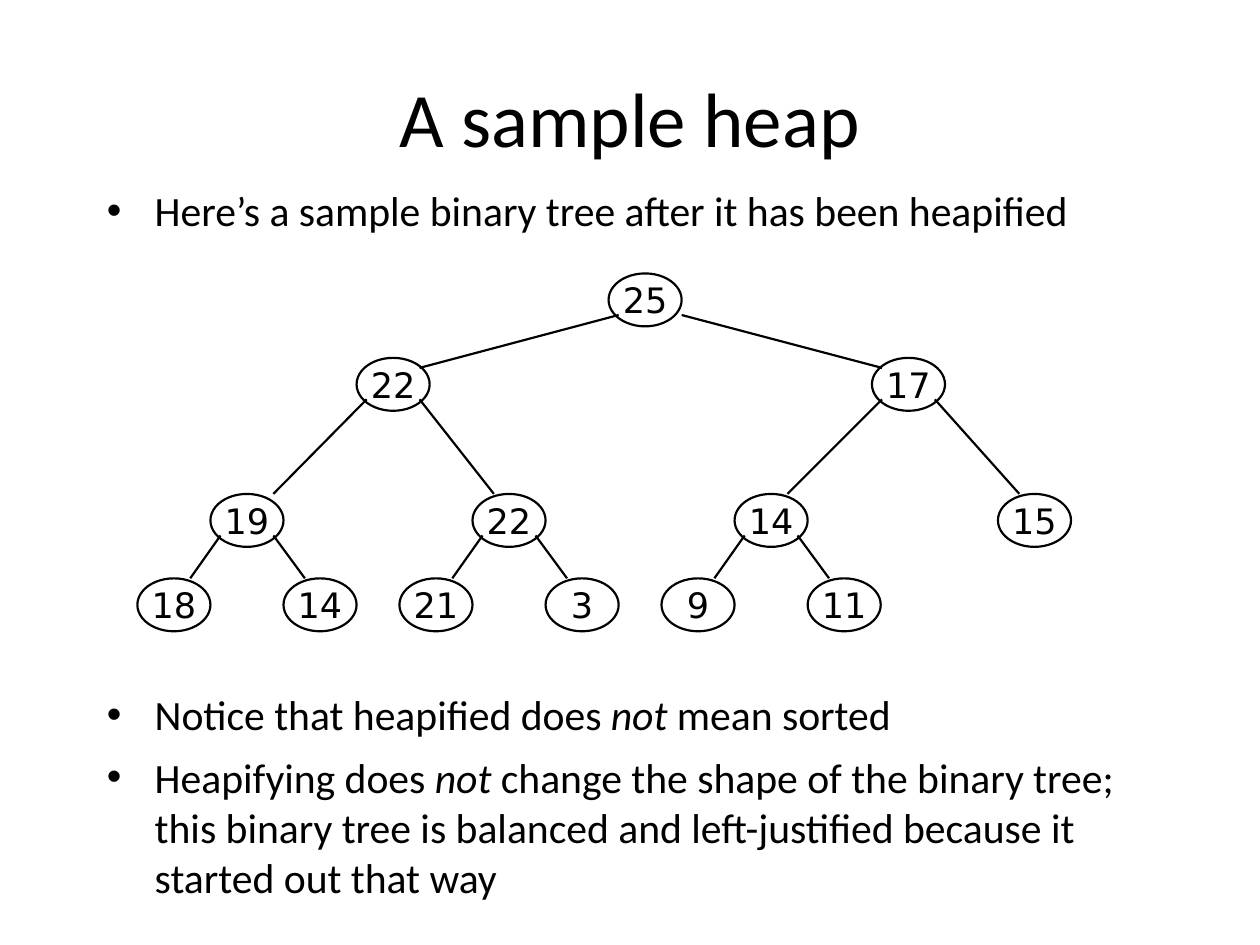
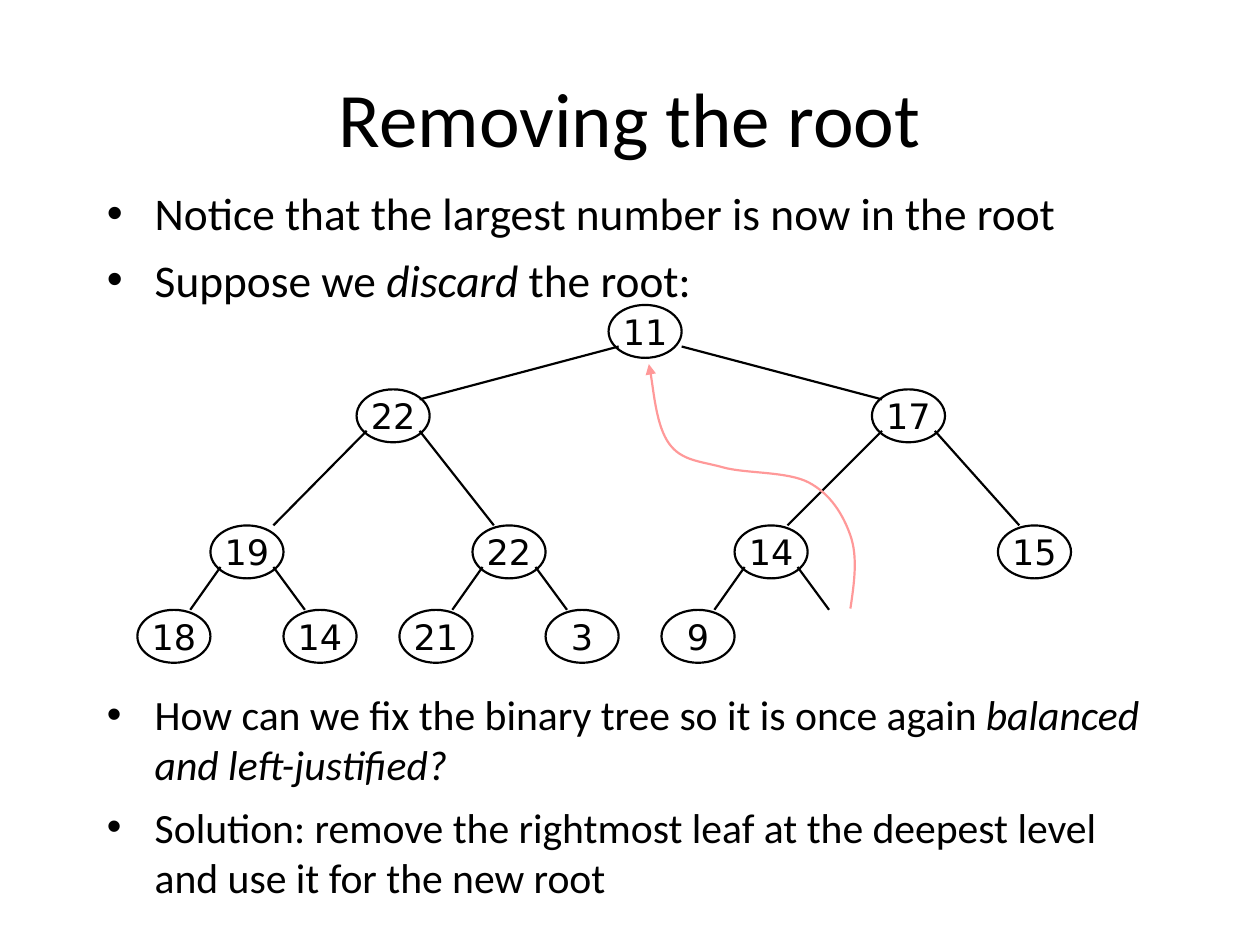
from dataclasses import dataclass
from lxml import etree
from pptx import Presentation
from pptx.dml.color import RGBColor
from pptx.enum.shapes import MSO_CONNECTOR, MSO_SHAPE
from pptx.enum.text import MSO_ANCHOR, PP_ALIGN
from pptx.oxml.ns import qn
from pptx.util import Inches, Pt

STRAIGHT, OVAL = MSO_CONNECTOR.STRAIGHT, MSO_SHAPE.OVAL
MIDDLE, CENTER = MSO_ANCHOR.MIDDLE, PP_ALIGN.CENTER


@dataclass(frozen=True)
class Theme:
    ink: RGBColor = RGBColor(0, 0, 0)
    accent: RGBColor = RGBColor(0xFF, 0x99, 0x99)
    font: str = "Calibri"
    node_font: str = "DejaVu Sans"
    title_size: float = 44
    body_size: float = 23.8
    lead_size: float = 25.9
    node_size: float = 20
    line: float = 1.25


T = Theme()

# Content: *asterisks* mark italics; heap values are in level order
SLIDES = [
    dict(title="A sample heap",
         top=["Here’s a sample binary tree after it has been heapified"],
         top_size=T.body_size, top_height=0.83, tree_top=2.17,
         heap=[25, 22, 17, 19, 22, 14, 15, 18, 14, 21, 3, 9, 11],
         bottom=["Notice that heapified does *not* mean sorted",
                 "Heapifying does *not* change the shape of the binary tree; "
                 "this binary tree is balanced and left-justified because it "
                 "started out that way"]),
    dict(title="Removing the root",
         top=["Notice that the largest number is now in the root",
              "Suppose we *discard* the root:"],
         top_size=T.lead_size, top_height=1.08, tree_top=2.42,
         heap=[11, 22, 17, 19, 22, 14, 15, 18, 14, 21, 3, 9, None],
         bottom=["How can we fix the binary tree so it is once again "
                 "*balanced and left-justified?*",
                 "Solution: remove the rightmost leaf at the deepest level "
                 "and use it for the new root"],
         # Start point, then three points for each Bézier segment
         move=[(6.75, 4.83),
               (6.78, 4.63), (6.81, 4.42), (6.75, 4.25),
               (6.69, 4.08), (6.59, 3.92), (6.42, 3.83),
               (6.25, 3.74), (5.92, 3.76), (5.74, 3.71),
               (5.56, 3.66), (5.41, 3.66), (5.31, 3.52),
               (5.21, 3.38), (5.18, 3.02), (5.15, 2.89)]),
]

# Tree geometry
NODE_W, NODE_H = 0.58, 0.42
LEVEL_Y = [0, 0.67, 1.75, 2.42]
INNER_X = [4.83, 2.83, 6.92, 1.67, 3.75, 5.83, 7.92]
LEAF_X = [x + side * NODE_W for x in INNER_X[3:6] for side in (-1, 1)]
NODE_X = INNER_X + LEAF_X
# Where the edge from the parent meets each node, from the node's left
ENTRY_X = [None, 0.5, 0.08, 0.5, 0.17, 0.42, 0.17] + [0.42, 0.17] * 3
EXIT_Y = 0.33


def sub(parent, tag, **attrs):
    return etree.SubElement(parent, qn(tag), attrs)


def set_font(p, name, size):
    p.font.name, p.font.size, p.font.color.rgb = name, Pt(size), T.ink


def add_text_box(s, x, y, w, h):
    tf = s.shapes.add_textbox(*map(Inches, (x, y, w, h))).text_frame
    tf.word_wrap = True
    return tf


def add_title(s, text):
    tf = add_text_box(s, 0.5, 0.3, 9, 1.25)
    tf.vertical_anchor = MIDDLE
    p = tf.paragraphs[0]
    p.text, p.alignment = text, CENTER
    set_font(p, T.font, T.title_size)


def add_bullets(s, items, y, h, size):
    tf = add_text_box(s, 0.75, y, 8.5, h)
    for i, item in enumerate(items):
        p = tf.add_paragraph() if i else tf.paragraphs[0]
        pPr = p._p.get_or_add_pPr()
        pPr.set("marL", str(Inches(0.38)))
        pPr.set("indent", str(Inches(-0.38)))
        sub(pPr, "a:buFont", typeface="Arial")
        sub(pPr, "a:buChar", char="•")
        if i:
            p.space_before = Pt(7)
        set_font(p, T.font, size)
        for j, part in enumerate(item.split("*")):
            if part:
                r = p.add_run()
                r.text = part
                if j % 2:
                    r.font.italic = True


def add_node(s, value, x, y):
    sp = s.shapes.add_shape(OVAL, *map(Inches, (x, y, NODE_W, NODE_H)))
    sp.shadow.inherit = False
    sp.fill.background()
    sp.line.color.rgb, sp.line.width = T.ink, Pt(T.line)
    tf = sp.text_frame
    tf.word_wrap, tf.vertical_anchor = False, MIDDLE
    p = tf.paragraphs[0]
    p.text, p.alignment = str(value), CENTER
    set_font(p, T.node_font, T.node_size)


def add_edge(s, *ends):
    c = s.shapes.add_connector(STRAIGHT, *map(Inches, ends))
    c.line.color.rgb, c.line.width = T.ink, Pt(T.line)
    sub(c._element.spPr, "a:effectLst")


def add_tree(s, heap, top):
    for i, value in enumerate(heap):
        level = (i + 1).bit_length() - 1
        x, y = NODE_X[i], top + LEVEL_Y[level]
        if value is not None:
            add_node(s, value, x, y)
        if i:
            parent = (i - 1) // 2
            exit_x = 0.08 if i % 2 else NODE_W if parent == 0 else 0.5
            entry_y = 0.08 if level == 1 else 0
            add_edge(s, NODE_X[parent] + exit_x,
                     top + LEVEL_Y[level - 1] + EXIT_Y,
                     x + ENTRY_X[i], y + entry_y)


def add_curved_arrow(s, points):
    pts = [(Inches(x), Inches(y)) for x, y in points]
    fb = s.shapes.build_freeform(*pts[0])
    fb.add_line_segments(pts[1:], close=False)
    sp = fb.convert_to_shape()
    sp.shadow.inherit = False
    sp.fill.background()
    sp.line.color.rgb, sp.line.width = T.accent, Pt(T.line)
    sub(sp.line._get_or_add_ln(), "a:tailEnd", type="triangle")
    # Regroup the straight segments, three by three, into Bézier curves
    outline = sp._element.find(".//" + qn("a:path"))
    segments = outline.findall(qn("a:lnTo"))
    for k in range(0, len(segments), 3):
        curve = sub(outline, "a:cubicBezTo")
        for segment in segments[k:k + 3]:
            curve.append(segment[0])
            outline.remove(segment)


def main():
    prs = Presentation()
    prs.slide_width, prs.slide_height = Inches(10), Inches(7.5)
    for d in SLIDES:
        s = prs.slides.add_slide(prs.slide_layouts[6])
        add_title(s, d["title"])
        add_bullets(s, d["top"], 1.42, d["top_height"], d["top_size"])
        add_bullets(s, d["bottom"], 5.42, 1.83, T.body_size)
        add_tree(s, d["heap"], d["tree_top"])
        if "move" in d:
            add_curved_arrow(s, d["move"])
    prs.save("out.pptx")


if __name__ == "__main__":
    main()
